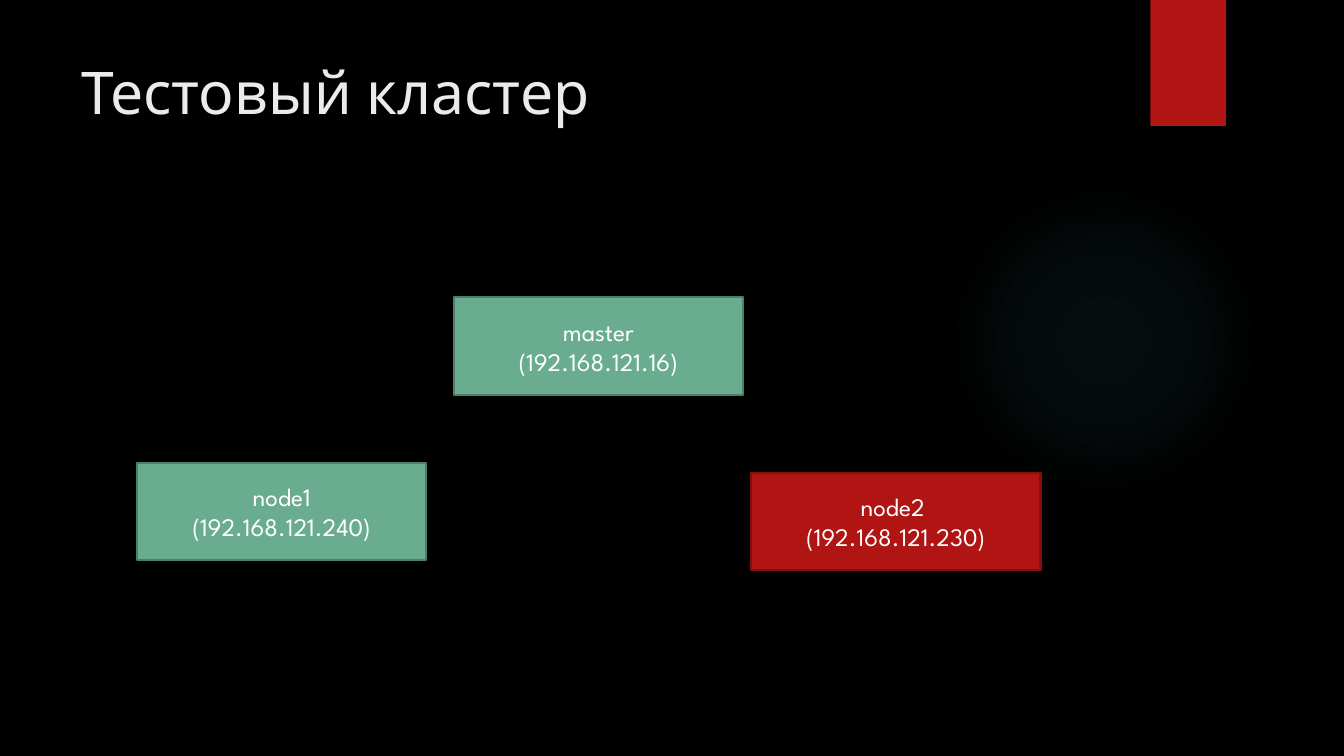
from pptx import Presentation
from pptx.dml.color import RGBColor
from pptx.enum.shapes import MSO_SHAPE as SHAPE
from pptx.enum.text import MSO_ANCHOR as ANCHOR, PP_ALIGN as ALIGN
from pptx.oxml import parse_xml
from pptx.oxml.ns import nsdecls
from pptx.util import Inches, Pt

WIDTH, HEIGHT = Inches(13.33), Inches(7.5)
FONT = "League Spartan"
NODE_SIZE = (21.53, 12.93)
GREEN, RED = ("6AAC90", "4E7F6B"), ("B01513", "82100E")
NODES = [
    ("master\n(192.168.121.16)", 33.76, 39.33, GREEN),
    ("node1\n(192.168.121.240)", 10.2, 61.2, GREEN),
    ("node2 \n(192.168.121.230)", 55.89, 62.53, RED),
]
GLOW_STOPS = [(0, 7), (36, 6), (69, 0)]


def color(value):
    """Turn a hex string into a colour."""
    return RGBColor.from_string(value)


def place(x, y, w, h):
    """Turn percentages of the slide into lengths."""
    return [int(side * share / 100)
            for side, share in zip((WIDTH, HEIGHT) * 2, (x, y, w, h))]


def write(sp, text, size, ink, align, anchor):
    """Put one formatted paragraph into a shape."""
    tf = sp.text_frame
    p = tf.paragraphs[0]
    p.text = text
    p.alignment = align
    for name, value in {"word_wrap": True, "vertical_anchor": anchor}.items():
        setattr(tf, name, value)
    for r in p.runs:
        for name, value in {"name": FONT, "size": Pt(size)}.items():
            setattr(r.font, name, value)
        r.font.color.rgb = color(ink)


def add_block(s, kind, box, fill=None, line=None):
    """Add a flat shape with an optional fill and outline."""
    sp = s.shapes.add_shape(kind, *place(*box))
    sp.shadow.inherit = False
    sp.fill.background()
    sp.line.fill.background()
    if fill:
        sp.fill.solid()
        sp.fill.fore_color.rgb = color(fill)
    if line:
        sp.line.color.rgb = color(line)
        sp.line.width = Pt(1.5)
    return sp


def add_glow(s, box, tint):
    """Add a circle that fades out from its centre."""
    sp = add_block(s, SHAPE.OVAL, box)
    stops = "".join(
        f'<a:gs pos="{pos * 1000}"><a:srgbClr val="{tint}">'
        f'<a:alpha val="{alpha * 1000}"/></a:srgbClr></a:gs>'
        for pos, alpha in GLOW_STOPS)
    grad = parse_xml(
        f'<a:gradFill {nsdecls("a")}><a:gsLst>{stops}</a:gsLst>'
        '<a:path path="circle"><a:fillToRect l="50000" t="50000" '
        'r="50000" b="50000"/></a:path></a:gradFill>')
    props = sp.element.spPr
    props.replace(props.find("{*}noFill"), grad)


def add_title(s, text, box):
    """Add the slide heading."""
    sp = s.shapes.add_textbox(*place(*box))
    write(sp, text, 42, "EBEBEB", ALIGN.LEFT, ANCHOR.TOP)


def add_node(s, text, x, y, colors):
    """Add one labelled cluster machine."""
    sp = add_block(s, SHAPE.RECTANGLE, (x, y, *NODE_SIZE), *colors)
    write(sp, text, 18, "FFFFFF", ALIGN.CENTER, ANCHOR.MIDDLE)


def main():
    """Build and save the slide."""
    prs = Presentation()
    prs.slide_width, prs.slide_height = WIDTH, HEIGHT
    s = prs.slides.add_slide(prs.slide_layouts[6])
    s.background.fill.solid()
    s.background.fill.fore_color.rgb = color("000000")
    add_glow(s, (70.59, 24.4, 23.11, 41.07), "50B9C1")
    add_block(s, SHAPE.RECTANGLE, (85.6, 0, 5.63, 16.67), RED[0])
    add_title(s, "Тестовый кластер", (5.33, 6.67, 77.19, 20.4))
    for node in NODES:
        add_node(s, *node)
    prs.save("out.pptx")


if __name__ == "__main__":
    main()
